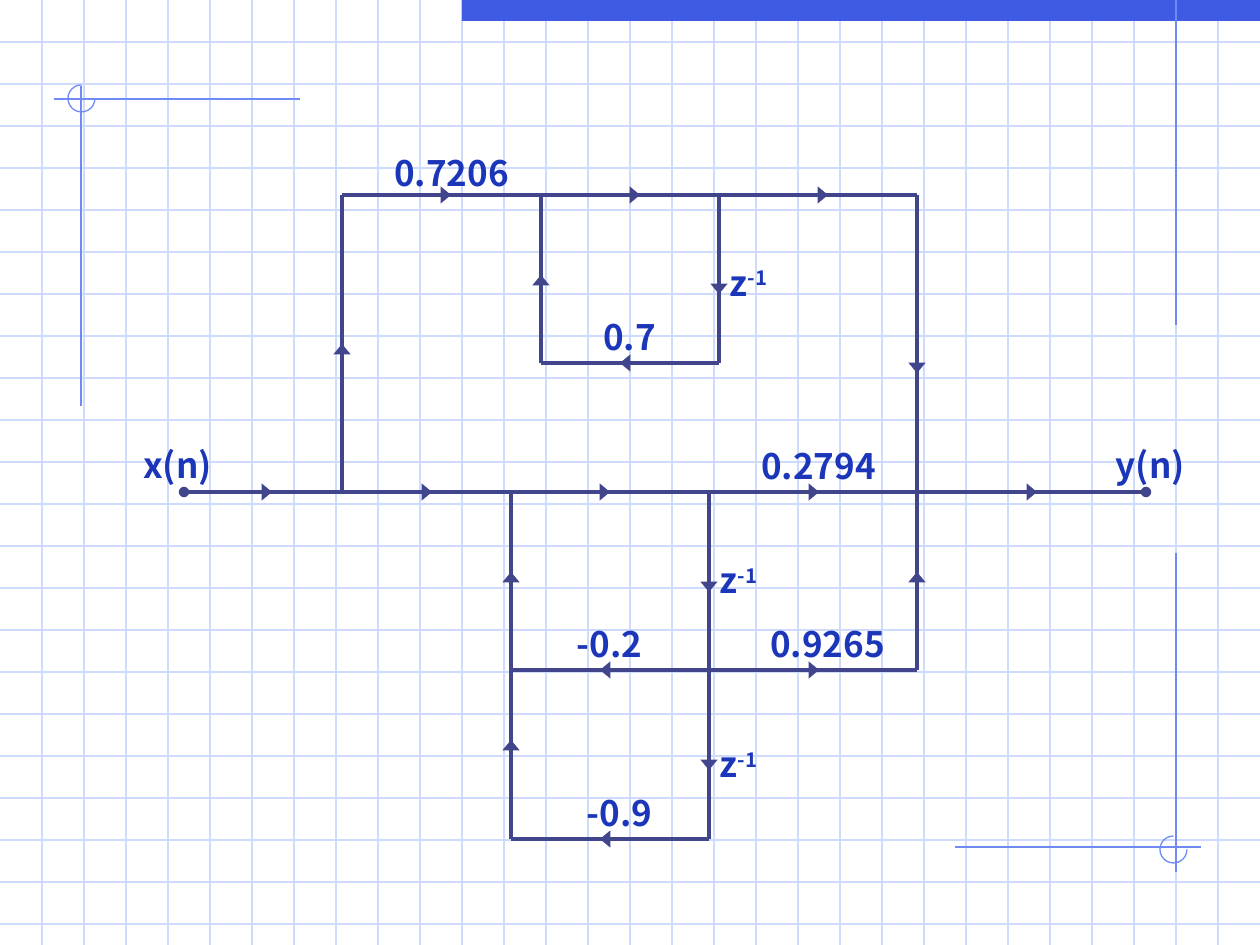
"""Build a slide with the signal-flow graph of a parallel digital filter."""
from dataclasses import dataclass

from lxml import etree
from pptx import Presentation
from pptx.dml.color import RGBColor
from pptx.enum.shapes import MSO_CONNECTOR, MSO_SHAPE
from pptx.enum.text import MSO_ANCHOR, PP_ALIGN
from pptx.oxml.ns import qn
from pptx.slide import Slide
from pptx.util import Emu, Pt

STRAIGHT = MSO_CONNECTOR.STRAIGHT
RECTANGLE = MSO_SHAPE.RECTANGLE
ARC = MSO_SHAPE.ARC
CENTER = PP_ALIGN.CENTER
MIDDLE = MSO_ANCHOR.MIDDLE

PX_PER_INCH = 126
SLIDE_WIDTH, SLIDE_HEIGHT = 1260, 945
GRID_STEP = 42
ARROW_LENGTH = 20
LABEL_HEIGHT = 55
RING_SIZE = 27


@dataclass(frozen=True)
class Theme:
    grid: RGBColor = RGBColor.from_string("CFDBFD")
    mark: RGBColor = RGBColor.from_string("6F89F7")
    bar: RGBColor = RGBColor.from_string("3F5AE3")
    signal: RGBColor = RGBColor.from_string("40458C")
    text: RGBColor = RGBColor.from_string("1C36BA")
    font: str = "Noto Sans CJK SC"
    text_size: float = 20
    thin: float = 0.75
    thick: float = 2


@dataclass(frozen=True)
class Line:
    x1: int
    y1: int
    x2: int
    y2: int


@dataclass(frozen=True)
class Ring:
    left: int
    top: int


@dataclass(frozen=True)
class Arrow:
    x: int
    y: int
    direction: str


@dataclass(frozen=True)
class Label:
    left: int
    top: int
    width: int
    text: str
    exponent: str = ""


THEME = Theme()
INPUT_X, SPLIT_X, SUM_X, OUTPUT_X = 184, 342, 917, 1146
FEEDBACK_X, DELAY_X = 511, 709
UPPER_FEEDBACK_X, UPPER_DELAY_X = 541, 719
TOP_Y, LOOP_Y, MAIN_Y, TAP_Y, BOTTOM_Y = 195, 363, 492, 670, 839
DIRECTIONS = {"right": (1, 0), "left": (-1, 0), "down": (0, 1), "up": (0, -1)}

MARK_LINES = [
    Line(300, 99, 54, 99),
    Line(81, 86, 81, 406),
    Line(1176, 0, 1176, 325),
    Line(1201, 847, 955, 847),
    Line(1176, 553, 1176, 872),
]
RINGS = [Ring(68, 85), Ring(1160, 836)]
BRANCHES = [
    Line(SPLIT_X, MAIN_Y, SPLIT_X, TOP_Y),
    Line(SPLIT_X, TOP_Y, SUM_X, TOP_Y),
    Line(SUM_X, TOP_Y, SUM_X, MAIN_Y),
    Line(FEEDBACK_X, MAIN_Y, FEEDBACK_X, TAP_Y),
    Line(FEEDBACK_X, TAP_Y, SUM_X, TAP_Y),
    Line(SUM_X, MAIN_Y, SUM_X, TAP_Y),
    Line(DELAY_X, MAIN_Y, DELAY_X, TAP_Y),
    Line(DELAY_X, TAP_Y, DELAY_X, BOTTOM_Y),
    Line(FEEDBACK_X, BOTTOM_Y, DELAY_X, BOTTOM_Y),
    Line(FEEDBACK_X, BOTTOM_Y, FEEDBACK_X, TAP_Y),
    Line(UPPER_FEEDBACK_X, TOP_Y, UPPER_FEEDBACK_X, LOOP_Y),
    Line(UPPER_FEEDBACK_X, LOOP_Y, UPPER_DELAY_X, LOOP_Y),
    Line(UPPER_DELAY_X, TOP_Y, UPPER_DELAY_X, LOOP_Y),
]
ARROWS = [
    *(Arrow(x, MAIN_Y, "right") for x in (272, 432, 610, 819, 1037)),
    *(Arrow(x, TOP_Y, "right") for x in (451, 640, 828)),
    Arrow(819, TAP_Y, "right"),
    Arrow(600, TAP_Y, "left"),
    Arrow(600, BOTTOM_Y, "left"),
    Arrow(620, LOOP_Y, "left"),
    Arrow(UPPER_DELAY_X, 294, "down"),
    Arrow(SUM_X, 373, "down"),
    Arrow(DELAY_X, 592, "down"),
    Arrow(DELAY_X, 770, "down"),
    Arrow(UPPER_FEEDBACK_X, 275, "up"),
    Arrow(SPLIT_X, 344, "up"),
    Arrow(FEEDBACK_X, 572, "up"),
    Arrow(SUM_X, 572, "up"),
    Arrow(FEEDBACK_X, 740, "up"),
]
LABELS = [
    Label(113, 437, 129, "x(n)"),
    Label(1086, 437, 129, "y(n)"),
    Label(372, 145, 159, "0.7206"),
    Label(699, 552, 79, "z", "-1"),
    Label(709, 255, 79, "z", "-1"),
    Label(699, 736, 79, "z", "-1"),
    Label(550, 309, 159, "0.7"),
    Label(739, 438, 159, "0.2794"),
    Label(748, 616, 159, "0.9265"),
    Label(530, 616, 159, "-0.2"),
    Label(540, 785, 159, "-0.9"),
]


def px(value: int) -> Emu:
    return Emu(round(value * 914400 / PX_PER_INCH))


def draw_line(slide: Slide, line: Line, color: RGBColor, width: float,
              head: str = "", tail: str = "", end_width: str = "med") -> None:
    connector = slide.shapes.add_connector(
        STRAIGHT, px(line.x1), px(line.y1), px(line.x2), px(line.y2))
    connector.line.color.rgb = color
    connector.line.width = Pt(width)
    outline = connector.line._get_or_add_ln()
    for tag, kind in (("a:headEnd", head), ("a:tailEnd", tail)):
        if kind:
            etree.SubElement(outline, qn(tag), type=kind, w=end_width, len="med")
    etree.SubElement(connector._element.spPr, qn("a:effectLst"))


def draw_ring(slide: Slide, ring: Ring) -> None:
    shape = slide.shapes.add_shape(
        ARC, px(ring.left), px(ring.top), px(RING_SIZE), px(RING_SIZE))
    shape.adjustments[0] = 0
    shape.adjustments[1] = 162
    shape.shadow.inherit = False
    shape.fill.background()
    shape.line.color.rgb = THEME.mark
    shape.line.width = Pt(THEME.thin)


def draw_bar(slide: Slide) -> None:
    shape = slide.shapes.add_shape(RECTANGLE, px(462), px(0), px(798), px(21))
    shape.shadow.inherit = False
    shape.fill.solid()
    shape.fill.fore_color.rgb = THEME.bar
    shape.line.fill.background()


def draw_arrow(slide: Slide, arrow: Arrow) -> None:
    dx, dy = DIRECTIONS[arrow.direction]
    line = Line(arrow.x - dx * ARROW_LENGTH, arrow.y - dy * ARROW_LENGTH, arrow.x, arrow.y)
    draw_line(slide, line, THEME.signal, THEME.thin, tail="triangle", end_width="lg")


def draw_label(slide: Slide, label: Label) -> None:
    shape = slide.shapes.add_textbox(
        px(label.left), px(label.top), px(label.width), px(LABEL_HEIGHT))
    frame = shape.text_frame
    frame.word_wrap = True
    frame.vertical_anchor = MIDDLE
    paragraph = frame.paragraphs[0]
    paragraph.alignment = CENTER
    for text, baseline in ((label.text, ""), (label.exponent, "30000")):
        if text:
            run = paragraph.add_run()
            run.text = text
            run.font.name = THEME.font
            run.font.size = Pt(THEME.text_size)
            run.font.bold = True
            run.font.color.rgb = THEME.text
            if baseline:
                run._r.get_or_add_rPr().set("baseline", baseline)


def main() -> None:
    presentation = Presentation()
    presentation.slide_width = px(SLIDE_WIDTH)
    presentation.slide_height = px(SLIDE_HEIGHT)
    slide = presentation.slides.add_slide(presentation.slide_layouts[6])
    for y in range(GRID_STEP, SLIDE_HEIGHT, GRID_STEP):
        draw_line(slide, Line(0, y, SLIDE_WIDTH, y), THEME.grid, THEME.thin)
    for x in range(GRID_STEP, SLIDE_WIDTH, GRID_STEP):
        draw_line(slide, Line(x, 0, x, SLIDE_HEIGHT), THEME.grid, THEME.thin)
    draw_bar(slide)
    for line in MARK_LINES:
        draw_line(slide, line, THEME.mark, THEME.thin)
    for ring in RINGS:
        draw_ring(slide, ring)
    main_path = Line(INPUT_X, MAIN_Y, OUTPUT_X, MAIN_Y)
    draw_line(slide, main_path, THEME.signal, THEME.thick, head="oval", tail="oval")
    for branch in BRANCHES:
        draw_line(slide, branch, THEME.signal, THEME.thick)
    for arrow in ARROWS:
        draw_arrow(slide, arrow)
    for label in LABELS:
        draw_label(slide, label)
    presentation.save("out.pptx")


if __name__ == "__main__":
    main()
